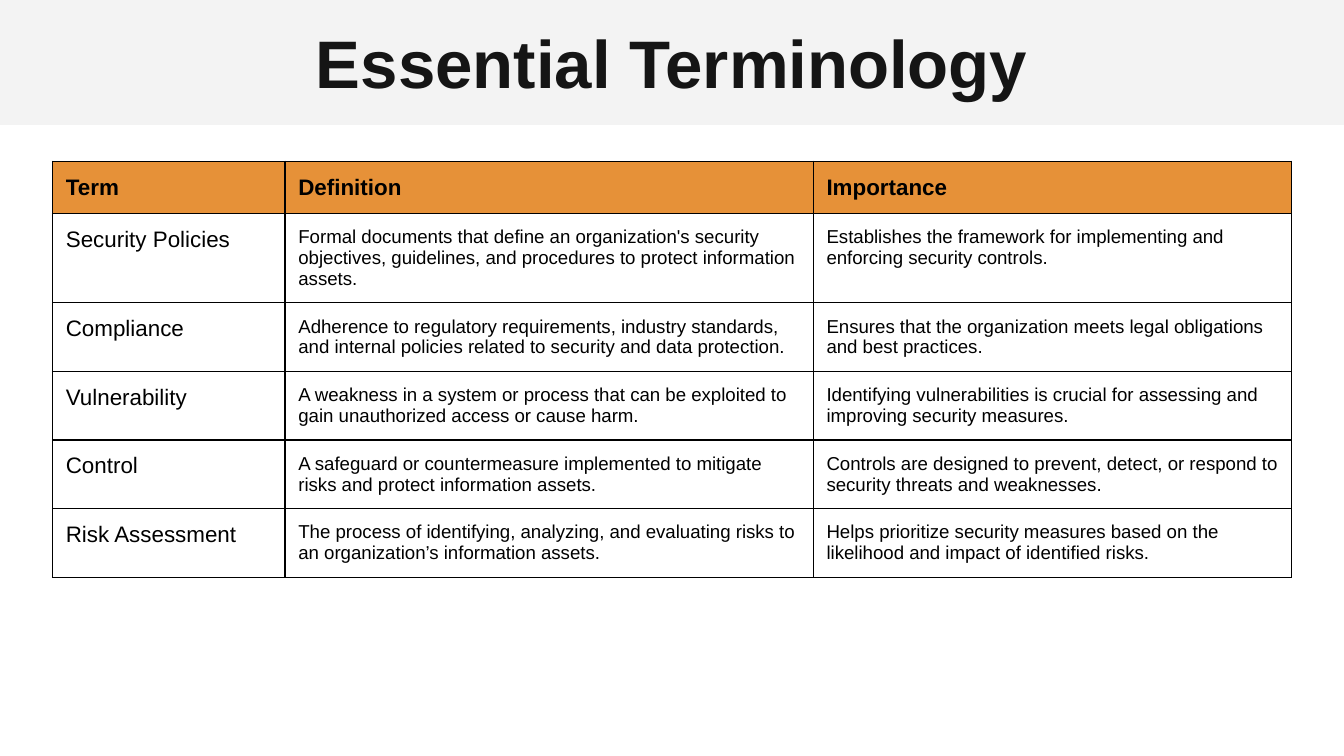
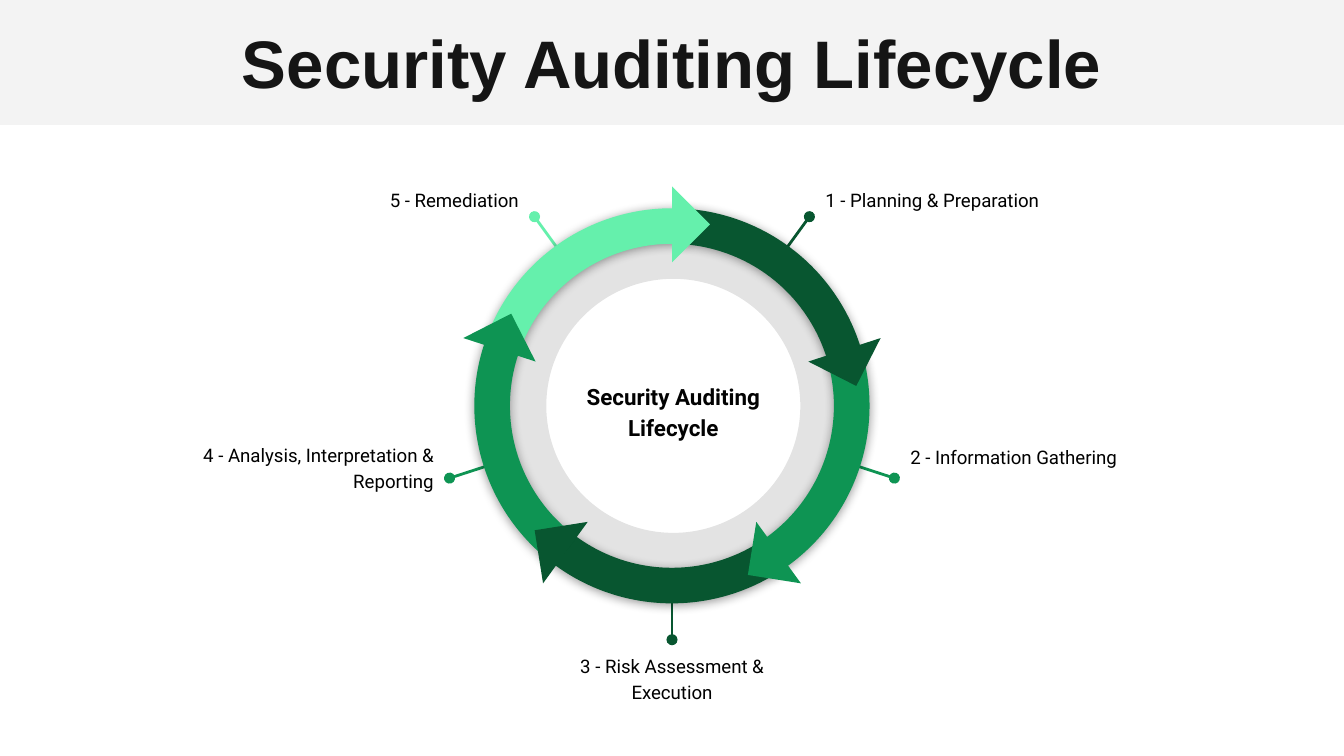
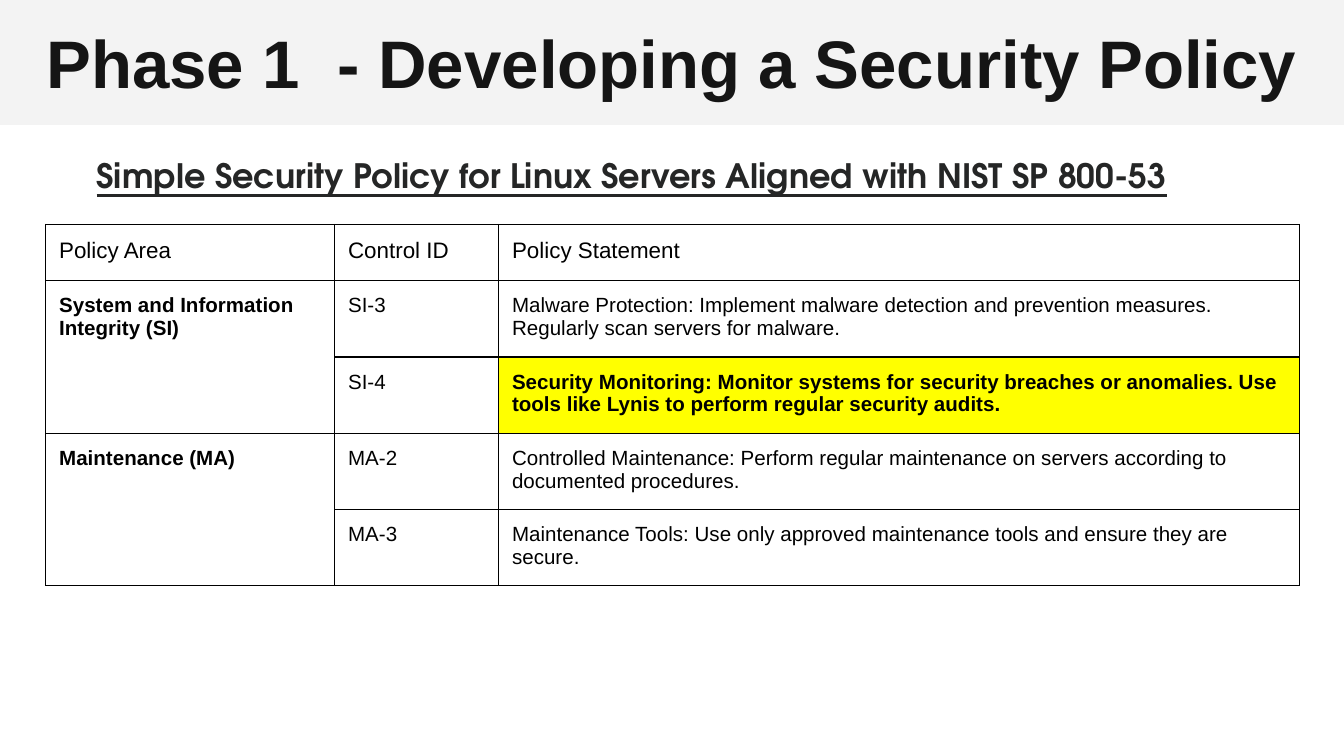
from math import cos, radians, sin

from lxml.etree import SubElement
from pptx import Presentation
from pptx.dml.color import RGBColor
from pptx.enum.shapes import MSO_CONNECTOR, MSO_SHAPE
from pptx.enum.text import MSO_ANCHOR, MSO_AUTO_SIZE, PP_ALIGN
from pptx.oxml.ns import qn
from pptx.util import Inches, Pt

W = 10
H = W * 9 / 16
BLACK, INK, BAND, ORANGE, YELLOW = "000000", "151515", "F3F3F3", "E69138", "FFFF00"
DARK, GREEN, MINT = "085630", "0E9453", "65F0AC"
ALIGN = {"l": PP_ALIGN.LEFT, "c": PP_ALIGN.CENTER, "r": PP_ALIGN.RIGHT}

TERMS = [
    ("Term", "Definition", "Importance"),
    ("Security Policies",
     "Formal documents that define an organization's security objectives, guidelines, and procedures to protect information assets.",
     "Establishes the framework for implementing and enforcing security controls."),
    ("Compliance",
     "Adherence to regulatory requirements, industry standards, and internal policies related to security and data protection.",
     "Ensures that the organization meets legal obligations and best practices."),
    ("Vulnerability",
     "A weakness in a system or process that can be exploited to gain unauthorized access or cause harm.",
     "Identifying vulnerabilities is crucial for assessing and improving security measures."),
    ("Control",
     "A safeguard or countermeasure implemented to mitigate risks and protect information assets.",
     "Controls are designed to prevent, detect, or respond to security threats and weaknesses."),
    ("Risk Assessment",
     "The process of identifying, analyzing, and evaluating risks to an organization’s information assets.",
     "Helps prioritize security measures based on the likelihood and impact of identified risks."),
]

STAGES = [
    ("1 - Planning & Preparation", DARK, "l", 1.92, -0.33),
    ("2 - Information Gathering", GREEN, "l", 1.97, -0.36),
    ("3 - Risk Assessment & Execution", DARK, "c", 1.64, -0.01),
    ("4 - Analysis, Interpretation & Reporting", GREEN, "r", 1.93, -0.38),
    ("5 - Remediation", MINT, "r", 1.64, -0.33),
]

POLICIES = [
    ("Policy Area", "Control ID", "Policy Statement"),
    ("System and Information Integrity (SI)", "SI-3",
     "Malware Protection: Implement malware detection and prevention measures. Regularly scan servers for malware."),
    (None, "SI-4",
     "Security Monitoring: Monitor systems for security breaches or anomalies. Use tools like Lynis to perform regular security audits."),
    ("Maintenance (MA)", "MA-2",
     "Controlled Maintenance: Perform regular maintenance on servers according to documented procedures."),
    (None, "MA-3",
     "Maintenance Tools: Use only approved maintenance tools and ensure they are secure."),
]


def rgb(value):
    return RGBColor.from_string(value)


def inset(box):
    box.margin_left = box.margin_right = box.margin_top = box.margin_bottom = Inches(0.1)


def write(tf, text, size=10, font="Roboto", color=BLACK, bold=False, underline=False,
          align="l", spacing=None):
    for i, line in enumerate(text.split("\n")):
        p = tf.add_paragraph() if i else tf.paragraphs[0]
        p.alignment = ALIGN[align]
        p.line_spacing = spacing
        r = p.add_run()
        r.text = line
        r.font.size, r.font.name = Pt(size), font
        r.font.bold, r.font.underline = bold, underline
        r.font.color.rgb = rgb(color)


def add_text(shapes, text, x, y, w, h, anchor=MSO_ANCHOR.TOP, **fmt):
    tf = shapes.add_textbox(Inches(x), Inches(y), Inches(w), Inches(h)).text_frame
    tf.word_wrap = True
    tf.vertical_anchor = anchor
    inset(tf)
    write(tf, text, spacing=1.15, **fmt)


def add_slide(prs, title):
    s = prs.slides.add_slide(prs.slide_layouts[5])
    sp = s.shapes.title
    sp.left, sp.top, sp.width, sp.height = Inches(0), Inches(-0.01), Inches(W), Inches(0.94)
    sp.fill.solid()
    sp.fill.fore_color.rgb = rgb(BAND)
    tf = sp.text_frame
    tf.word_wrap, tf.auto_size = True, MSO_AUTO_SIZE.NONE
    tf.vertical_anchor = MSO_ANCHOR.MIDDLE
    inset(tf)
    write(tf, title, size=36, font="Arial", color=INK, bold=True, align="c")
    return s


def add_borders(cell):
    tc_pr = cell._tc.get_or_add_tcPr()
    for side in ("lnL", "lnR", "lnT", "lnB"):
        ln = SubElement(tc_pr, qn(f"a:{side}"), w=str(Pt(0.75)))
        SubElement(SubElement(ln, qn("a:solidFill")), qn("a:srgbClr"), val=BLACK)


def merge_up(table, i, j, size):
    cell = table.cell(i, j)
    end = SubElement(cell.text_frame.paragraphs[0]._p, qn("a:endParaRPr"), sz=str(size * 100))
    SubElement(end, qn("a:latin"), typeface="Arial")
    table.cell(i - 1, j).merge(cell)


def add_grid(s, rows, x, y, cols, heights, style):
    table = s.shapes.add_table(len(rows), len(cols), Inches(x), Inches(y),
                               Inches(sum(cols)), Inches(sum(heights))).table
    table.first_row = table.horz_banding = False
    for column, width in zip(table.columns, cols):
        column.width = Inches(width)
    for i, (row, height) in enumerate(zip(rows, heights)):
        table.rows[i].height = Inches(height)
        for j, text in enumerate(row):
            cell = table.cell(i, j)
            inset(cell)
            add_borders(cell)
            size, bold, fill = style(i, j)
            if fill:
                cell.fill.solid()
                cell.fill.fore_color.rgb = rgb(fill)
            else:
                cell.fill.background()
            if text is None:
                merge_up(table, i, j, size)
            else:
                write(cell.text_frame, text, size=size, font="Arial", bold=bold)


def add_solid(s, kind, cx, cy, size, color, adjust=(), rotation=0):
    sp = s.shapes.add_shape(kind, Inches(cx - size / 2), Inches(cy - size / 2),
                            Inches(size), Inches(size))
    for i, value in enumerate(adjust):
        sp.adjustments[i] = value
    sp.rotation = rotation
    sp.fill.solid()
    sp.fill.fore_color.rgb = rgb(color)
    sp.line.fill.background()
    sp.shadow.inherit = False
    return sp


def set_alpha(color_element, percent):
    SubElement(color_element, qn("a:alpha"), val=str(percent * 1000))


def add_shadow(sp):
    effects = sp.element.spPr.find(qn("a:effectLst"))
    shadow = SubElement(effects, qn("a:outerShdw"), blurRad=str(Pt(5.6)), dist=str(Pt(0.8)),
                        dir=str(90 * 60000), algn="bl", rotWithShape="0")
    set_alpha(SubElement(shadow, qn("a:srgbClr"), val=BLACK), 40)


def add_pin(shapes, start, end, color):
    line = shapes.add_connector(MSO_CONNECTOR.STRAIGHT, *map(Inches, start + end))
    line.line.color.rgb = rgb(color)
    line.line.width = Pt(1.5)
    SubElement(line.line._get_or_add_ln(), qn("a:headEnd"), type="oval")
    SubElement(line.element.spPr, qn("a:effectLst"))


def add_cycle(s, cx, cy):
    step = 360 / len(STAGES)

    def polar(radius, angle):
        return cx + radius * cos(radians(angle)), cy + radius * sin(radians(angle))

    ring = add_solid(s, MSO_SHAPE.DONUT, cx + 0.01, cy, 2.78, BLACK, [0.16])
    set_alpha(ring.element.spPr.find(".//" + qn("a:srgbClr")), 11)

    for i, (label, color, align, width, dy) in enumerate(STAGES):
        shapes = s.shapes.add_group_shape().shapes
        angle = 270 + step * (i + 0.5)
        x, y = polar(1.74, angle)
        add_pin(shapes, (x, y), polar(1.22, angle), color)
        left = {"l": x + 0.02, "c": x - width / 2, "r": x - 0.02 - width}[align]
        add_text(shapes, label, left, y + dy, width, 0.73, align=align)

    for i, (_, color, *_) in enumerate(STAGES):
        start = 274 + step * i
        angles = [a % 360 * 0.6 for a in (start, start + step + 1)]
        add_shadow(add_solid(s, MSO_SHAPE.BLOCK_ARC, cx, cy, 2.94, color, angles + [0.09]))

    for i, (_, color, *_) in enumerate(STAGES, 1):
        add_solid(s, MSO_SHAPE.RIGHT_TRIANGLE, *polar(1.35, 270 + step * i), 0.4, color,
                  rotation=(225 + step * i) % 360)

    add_text(s.shapes, "Security Auditing\nLifecycle", cx - 0.78, cy - 0.41, 1.58, 0.88,
             anchor=MSO_ANCHOR.MIDDLE, size=12, color="020202", bold=True, align="c")


def term_style(i, j):
    header = i == 0
    return 12 if header or j == 0 else 10, header, ORANGE if header else None


def policy_style(i, j):
    marked = (i, j) == (2, 2)
    return 11 if i else 12, marked or (i > 0 and j == 0), YELLOW if marked else None


def main():
    prs = Presentation()
    prs.slide_width, prs.slide_height = Inches(W), Inches(H)

    s = add_slide(prs, "Essential Terminology")
    add_grid(s, TERMS, 0.39, 1.2, [1.73, 3.93, 3.56], [0.3] + [0.42] * 5, term_style)

    s = add_slide(prs, "Security Auditing Lifecycle")
    add_cycle(s, W / 2, 3.02)

    s = add_slide(prs, "Phase 1  - Developing a Security Policy")
    add_text(s.shapes, "Simple Security Policy for Linux Servers Aligned with NIST SP 800-53",
             0.62, 1.01, 9.16, 0.57, size=18, font="TeX Gyre Adventor", color="252626",
             bold=True, underline=True)
    add_grid(s, POLICIES, 0.34, 1.67, [2.15, 1.22, 5.96], [0.42] * 5, policy_style)

    prs.save("out.pptx")


if __name__ == "__main__":
    main()
